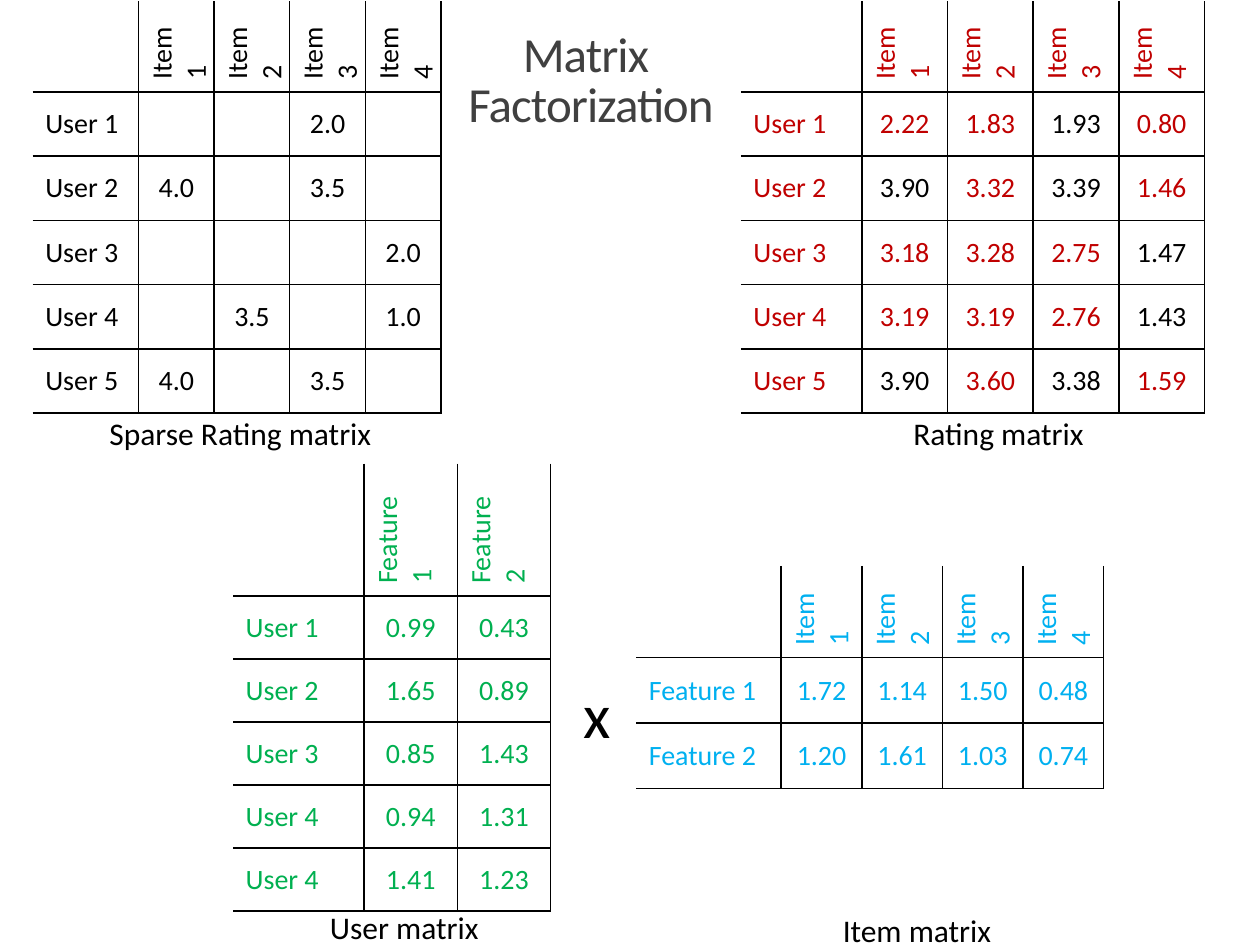
from lxml import etree
from pptx import Presentation
from pptx.dml import color
from pptx.enum import text
from pptx.oxml import ns
from pptx.util import Inches, Pt

COLORS = {"black": "000000", "title": "404040", "rating": "C00000",
          "user": "00B050", "item": "00B0F0"}
PLAIN_STYLE = "{2D5ABB26-0587-4C30-8999-92F81FD0307C}"
ITEMS = ["Item 1", "Item 2", "Item 3", "Item 4"]
USERS = ["User 1", "User 2", "User 3", "User 4", "User 5"]
FEATURES = ["Feature 1", "Feature 2"]
KNOWN = {(1, 3), (2, 1), (2, 3), (3, 4), (4, 4), (5, 1), (5, 3)}

MATRICES = [
    {"name": "sparse", "color": "black", "at": (0.26, 0.01),
     "widths": (0.84, 0.6), "heights": (0.72, 0.51),
     "heads": ITEMS, "labels": USERS,
     "values": [["", "", "2.0", ""], ["4.0", "", "3.5", ""], ["", "", "", "2.0"],
                ["", "3.5", "", "1.0"], ["4.0", "", "3.5", ""]]},
    {"name": "user", "color": "user", "at": (1.85, 3.68),
     "widths": (1.04, 0.74), "heights": (1.05, 0.5),
     "heads": FEATURES, "labels": USERS[:4] + ["User 4"],
     "values": [["0.99", "0.43"], ["1.65", "0.89"], ["0.85", "1.43"],
                ["0.94", "1.31"], ["1.41", "1.23"]]},
    {"name": "item", "color": "item", "at": (5.05, 4.49),
     "widths": (1.15, 0.64), "heights": (0.73, 0.52),
     "heads": ITEMS, "labels": FEATURES,
     "values": [["1.72", "1.14", "1.50", "0.48"], ["1.20", "1.61", "1.03", "0.74"]]},
    {"name": "rating", "color": "rating", "at": (5.88, 0.01),
     "widths": (0.96, 0.68), "heights": (0.72, 0.51),
     "heads": ITEMS, "labels": USERS,
     "values": [["2.22", "1.83", "1.93", "0.80"], ["3.90", "3.32", "3.39", "1.46"],
                ["3.18", "3.28", "2.75", "1.47"], ["3.19", "3.19", "2.76", "1.43"],
                ["3.90", "3.60", "3.38", "1.59"]]},
]

TEXTS = [
    ("x", (4.49, 5.31, 0.5, 0.71), 36, "black",
     {"word_wrap": True}, {"alignment": text.PP_ALIGN.CENTER}),
    ("Sparse Rating matrix", (0.77, 3.24, 2.53, 0.4), 18, "black", {"word_wrap": False}, {}),
    ("User matrix", (2.52, 7.16, 1.5, 0.4), 18, "black", {"word_wrap": False}, {}),
    ("Item matrix", (6.59, 7.18, 1.48, 0.4), 18, "black", {"word_wrap": False}, {}),
    ("Rating matrix", (7.15, 3.24, 1.69, 0.4), 18, "black", {"word_wrap": False}, {}),
    ("Matrix \vFactorization", (3.45, 0, 2.48, 1.1), 28, "title",
     {"word_wrap": True, "auto_size": text.MSO_AUTO_SIZE.NONE,
      "vertical_anchor": text.MSO_ANCHOR.BOTTOM},
     {"alignment": text.PP_ALIGN.CENTER, "line_spacing": 0.85}),
]


def style_text(para, size, shade):
    for span in para.runs:
        formats = {"name": "Calibri", "size": Pt(size)}
        for key, value in formats.items():
            setattr(span.font, key, value)
        span.font.color.rgb = color.RGBColor.from_string(COLORS[shade])


def add_borders(cell, sides):
    properties = cell._tc.get_or_add_tcPr()
    for index, side in enumerate(sides):
        line = etree.Element(ns.qn(f"a:ln{side}"), w=str(Pt(1)))
        fill = etree.SubElement(line, ns.qn("a:solidFill"))
        etree.SubElement(fill, ns.qn("a:srgbClr"), val=COLORS["black"])
        properties.insert(index, line)


deck = Presentation()
deck.slide_width, deck.slide_height = Inches(10), Inches(7.5)
page = deck.slides.add_slide(deck.slide_layouts[6])

for matrix in MATRICES:
    rows = [[""] + matrix["heads"]]
    rows += [[label] + values for label, values in zip(matrix["labels"], matrix["values"])]
    widths = [matrix["widths"][0]] + [matrix["widths"][1]] * len(matrix["heads"])
    heights = [matrix["heights"][0]] + [matrix["heights"][1]] * len(matrix["labels"])
    left, top = matrix["at"]
    frame = page.shapes.add_table(len(rows), len(widths), Inches(left), Inches(top),
                                  Inches(sum(widths)), Inches(sum(heights)))
    table = frame.table
    table.first_row = table.horz_banding = False
    table._tbl.tblPr.find(ns.qn("a:tableStyleId")).text = PLAIN_STYLE
    for column, width in zip(table.columns, widths):
        column.width = Inches(width)
    for row, height in zip(table.rows, heights):
        row.height = Inches(height)

    for r, row in enumerate(rows):
        for c, content in enumerate(row):
            cell = table.cell(r, c)
            cell.text = content
            cell.vertical_anchor = text.MSO_ANCHOR.MIDDLE
            cell.fill.background()
            para = cell.text_frame.paragraphs[0]
            if r and c:
                para.alignment = text.PP_ALIGN.CENTER
            elif c:
                cell._tc.get_or_add_tcPr().set("vert", "vert270")
            known = matrix["name"] == "rating" and (r, c) in KNOWN
            style_text(para, 16, "black" if known else matrix["color"])
            add_borders(cell, ("L" if c else "") + "R" + ("T" if r else "") + "B")

for content, place, size, shade, frame_format, para_format in TEXTS:
    box = page.shapes.add_textbox(*map(Inches, place))
    frame = box.text_frame
    frame.auto_size = text.MSO_AUTO_SIZE.SHAPE_TO_FIT_TEXT
    para = frame.paragraphs[0]
    para.text = content
    for target, formats in ((frame, frame_format), (para, para_format)):
        for key, value in formats.items():
            setattr(target, key, value)
    style_text(para, size, shade)
    if shade == "title":
        for span in para.runs:
            span.font._element.set("spc", "-50")

deck.save("out.pptx")
